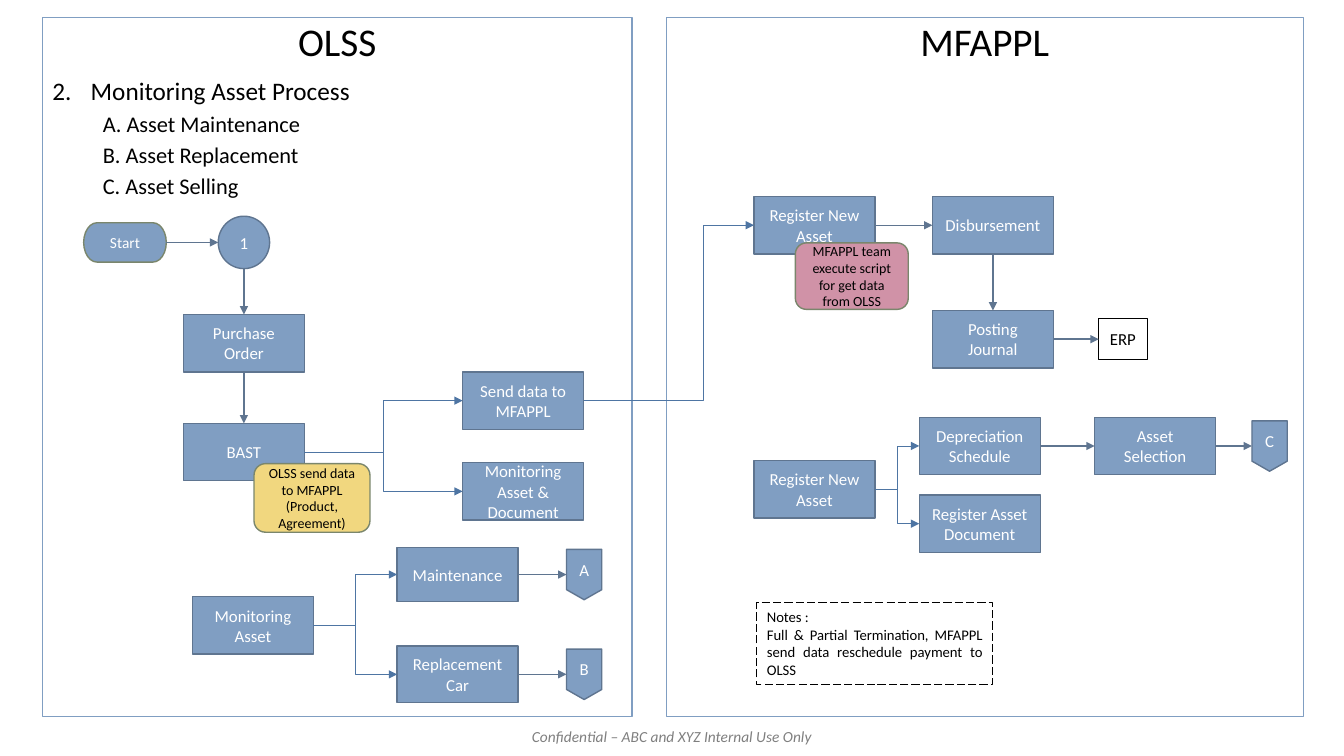
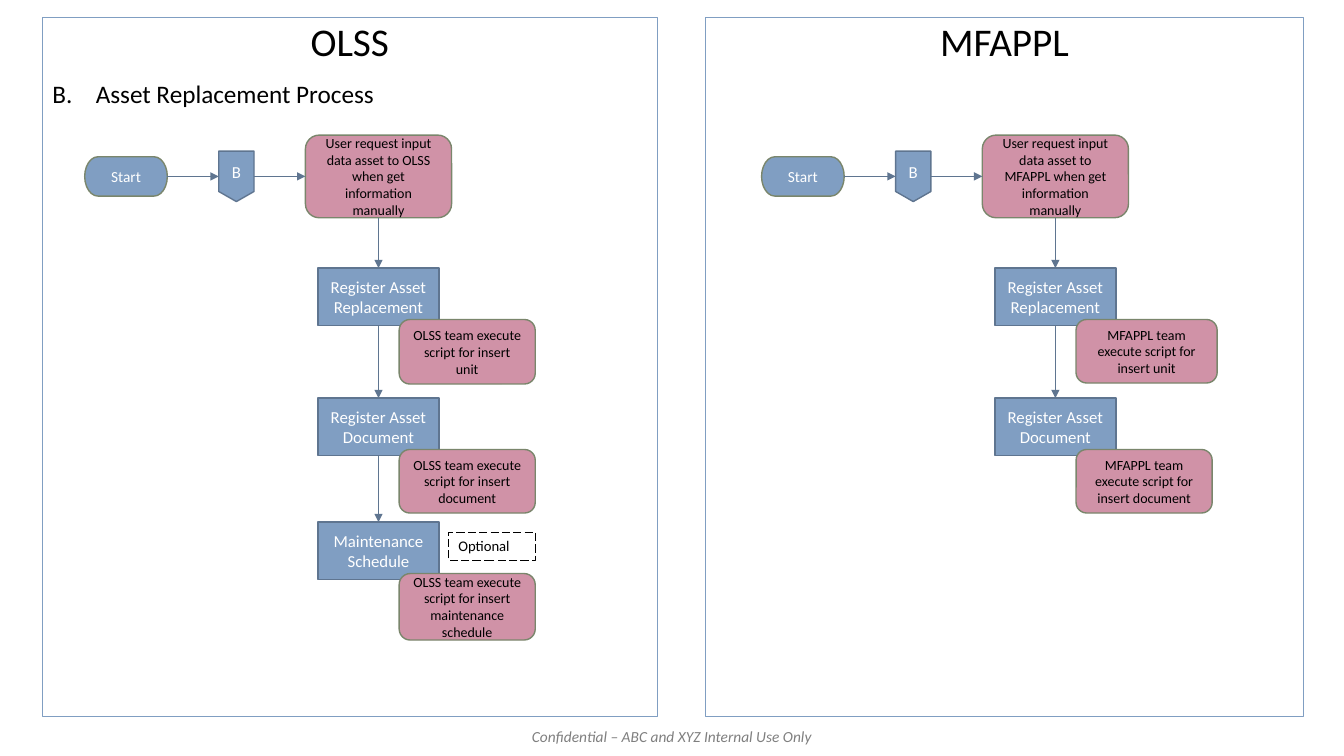
from pptx import Presentation, util as u
from pptx.dml.color import RGBColor
from pptx.enum import dml, shapes, text
from pptx.oxml import ns
from lxml import etree

COLUMNS, ROWS = 133.33, 75
CELL = u.Inches(0.1)
FONT = "Calibri"
COLORS = {
    "blue": "809EC2", "edge": "5F7590", "bend": "4E75A3", "olive": "7A866C",
    "yellow": "F1D77F", "pink": "D092A7", "white": "FFFFFF", "black": "000000",
    "gray": "7F7F7F",
}
KIND = shapes.MSO_SHAPE
STYLES = {
    "step": dict(kind=KIND.RECTANGLE, size=(12, 5.7)),
    "start": dict(kind=KIND.FLOWCHART_TERMINATOR, size=(8.2, 3.9), line="olive", points=11),
    "circle": dict(kind=KIND.FLOWCHART_CONNECTOR, size=(5.1, 5.2)),
    "page": dict(kind=KIND.FLOWCHART_OFFPAGE_CONNECTOR, size=(3.5, 5)),
    "yellow note": dict(kind=KIND.ROUNDED_RECTANGLE, fill="yellow", line="olive",
                        color="black", points=10),
    "pink note": dict(kind=KIND.ROUNDED_RECTANGLE, fill="pink", line="olive",
                      color="black", points=10),
    "system": dict(kind=KIND.RECTANGLE, size=(4.8, 4.1), fill="white", line="black",
                   color="black", weight=0.5),
    "remark": dict(kind=KIND.RECTANGLE, fill=None, line="black", color="black",
                   weight=0.75, points=10.5, dash=dml.MSO_LINE.LONG_DASH,
                   anchor=text.MSO_ANCHOR.TOP, align=text.PP_ALIGN.LEFT),
}
DEFAULTS = dict(fill="blue", line="edge", color="white", weight=1, points=12, dash=None,
                anchor=text.MSO_ANCHOR.MIDDLE, align=text.PP_ALIGN.CENTER)
TOP, LEFT, BOTTOM, RIGHT = range(4)


def rgb(name):
    """Return a named colour."""
    return RGBColor.from_string(COLORS[name])


def cells(*lengths):
    """Turn grid cells into slide lengths."""
    return [round(length * CELL) for length in lengths]


def assign(target, values):
    """Set every attribute named in a dict of format values."""
    for name, value in values.items():
        setattr(target, name, value)


def write(paragraph, words, points, color="black", italic=False, **layout):
    """Fill a paragraph with one formatted run."""
    assign(paragraph, layout)
    run = paragraph.add_run()
    run.text = words
    assign(run.font, dict(name=FONT, size=u.Pt(points), italic=italic))
    run.font.color.rgb = rgb(color)


def set_bullet(paragraph, margin=0, indent=0, number=None):
    """Give a paragraph its indents and its number, or no bullet."""
    properties = paragraph._p.get_or_add_pPr()
    properties.set("marL", str(u.Inches(margin)))
    properties.set("indent", str(u.Inches(indent)))
    if number:
        etree.SubElement(properties, ns.qn("a:buAutoNum"), type=number, startAt="2")
    else:
        etree.SubElement(properties, ns.qn("a:buNone"))


def add_panel(slide, index, box, title, heading=None, items=()):
    """Place a framed body placeholder with its title, heading and list."""
    panel = slide.placeholders[index]
    assign(panel, dict(zip(("left", "top", "width", "height"), cells(*box))))
    panel.line.color.rgb = rgb("blue")
    panel.line.width = u.Pt(0.75)
    frame = panel.text_frame
    assign(frame, dict(auto_size=text.MSO_AUTO_SIZE.NONE, word_wrap=True,
                       vertical_anchor=text.MSO_ANCHOR.TOP))
    lines = [(title, 28, 10, 0, text.PP_ALIGN.CENTER, {})]
    if heading:
        words, space, bullet = heading
        lines.append((words, 18, space, 0, text.PP_ALIGN.LEFT, bullet))
    lines += [(item, 16, 5, 1, text.PP_ALIGN.LEFT, dict(margin=0.5)) for item in items]
    for row, (words, points, space, level, align, bullet) in enumerate(lines):
        paragraph = frame.add_paragraph() if row else frame.paragraphs[0]
        write(paragraph, words, points, alignment=align, level=level,
              line_spacing=0.9, space_before=u.Pt(space))
        set_bullet(paragraph, **bullet)


def add_node(slide, box, style, left, top, words, size=None):
    """Add one flow shape at a grid place inside a box."""
    look = {**DEFAULTS, **STYLES[style]}
    width, height = size or look["size"]
    node = slide.shapes.add_shape(
        look["kind"], *cells(box[0] + left, box[1] + top, width, height))
    node.shadow.inherit = False
    if look["fill"]:
        node.fill.solid()
        node.fill.fore_color.rgb = rgb(look["fill"])
    else:
        node.fill.background()
    node.line.color.rgb = rgb(look["line"])
    assign(node.line, dict(width=u.Pt(look["weight"]), dash_style=look["dash"]))
    frame = node.text_frame
    assign(frame, dict(word_wrap=True, vertical_anchor=look["anchor"]))
    for row, line in enumerate(words.split("\n")):
        paragraph = frame.add_paragraph() if row else frame.paragraphs[0]
        align = text.PP_ALIGN.JUSTIFY if row else look["align"]
        write(paragraph, line, look["points"], look["color"], alignment=align)
    return node


def add_nodes(slide, box, rows):
    """Add the named flow shapes of one box."""
    return {name: add_node(slide, box, *row) for name, *row in rows}


def add_link(slide, source, target, sides=(RIGHT, LEFT), bent=False, bend=None):
    """Join two shapes with a straight or bent arrow."""
    kind = shapes.MSO_CONNECTOR.ELBOW if bent else shapes.MSO_CONNECTOR.STRAIGHT
    link = slide.shapes.add_connector(kind, 0, 0, 0, 0)
    link.begin_connect(source, sides[0])
    link.end_connect(target, sides[1])
    for tag, shape in (("a:stCxn", source), ("a:endCxn", target)):
        if shape.auto_shape_type == KIND.FLOWCHART_CONNECTOR:
            site = next(link._element.iter(ns.qn(tag)))
            site.set("idx", str(2 * int(site.get("idx"))))
    link.line.color.rgb = rgb("bend" if bent else "edge")
    link.line.width = u.Pt(0.5 if bent else 1)
    properties = link._element.spPr
    etree.SubElement(properties.find(ns.qn("a:ln")), ns.qn("a:tailEnd"), type="triangle")
    etree.SubElement(properties, ns.qn("a:effectLst"))
    if bend:
        adjustments = next(properties.iter(ns.qn("a:avLst")))
        etree.SubElement(adjustments, ns.qn("a:gd"), name="adj1", fmla=f"val {bend}")


def add_links(slide, nodes, pairs, **options):
    """Join every named pair of shapes in the same way."""
    for source, target in pairs:
        add_link(slide, nodes[source], nodes[target], **options)


def add_footer(slide):
    """Centre the confidentiality line below the panels."""
    footer = slide.shapes.add_textbox(*cells(0.3 * COLUMNS, 71.6, 0.4 * COLUMNS, 2.9))
    assign(footer.text_frame, dict(word_wrap=True, vertical_anchor=text.MSO_ANCHOR.MIDDLE))
    write(footer.text_frame.paragraphs[0], "Confidential – ABC and XYZ Internal Use Only",
          11, "gray", italic=True, alignment=text.PP_ALIGN.CENTER)


def add_flow_slide(presentation):
    """Start a two-panel slide with the shared footer."""
    slide = presentation.slides.add_slide(presentation.slide_layouts[3])
    title = slide.shapes.title._element
    title.getparent().remove(title)
    add_footer(slide)
    return slide


def monitoring_olss(slide, box):
    """Draw the purchase and monitoring flows."""
    add_panel(slide, 1, box, "OLSS",
              ("Monitoring Asset Process", 10,
               dict(margin=0.38, indent=-0.38, number="arabicPeriod")),
              ("A. Asset Maintenance", "B. Asset Replacement", "C. Asset Selling"))
    nodes = add_nodes(slide, box, [
        ("start", "start", 4.1, 20.4, "Start"),
        ("one", "circle", 17.45, 19.75, "1"),
        ("order", "step", 14, 29.5, "Purchase Order"),
        ("bast", "step", 14, 40.3, "BAST"),
        ("note", "yellow note", 21, 44.3,
         "OLSS send data to MFAPPL (Product, Agreement)", (11.5, 6.8)),
        ("send", "step", 41.7, 35.2, "Send data to MFAPPL"),
        ("document", "step", 41.7, 44.2, "Monitoring Asset & Document"),
        ("monitoring", "step", 14.9, 57.5, "Monitoring Asset"),
        ("maintenance", "step", 35.2, 52.6, "Maintenance", (12, 5.4)),
        ("replacement", "step", 35.2, 62.4, "Replacement Car", (12, 5.6)),
        ("A", "page", 52, 52.8, "A"),
        ("B", "page", 52, 62.7, "B"),
    ])
    add_links(slide, nodes, [("start", "one"), ("maintenance", "A"), ("replacement", "B")])
    add_links(slide, nodes, [("one", "order"), ("order", "bast")], sides=(BOTTOM, TOP))
    add_links(slide, nodes, [("bast", "send"), ("bast", "document"),
                             ("monitoring", "maintenance"),
                             ("monitoring", "replacement")], bent=True)
    return nodes


def monitoring_mfappl(slide, box):
    """Draw the registration, journal and depreciation flows."""
    add_panel(slide, 2, box, "MFAPPL")
    nodes = add_nodes(slide, box, [
        ("register", "step", 8.7, 17.8, "Register New Asset"),
        ("disbursement", "step", 26.4, 17.8, "Disbursement"),
        ("journal", "step", 26.4, 29.1, "Posting Journal"),
        ("ledger", "system", 42.9, 29.9, "ERP"),
        ("note", "pink note", 12.8, 22.4,
         "MFAPPL team execute script for get data from OLSS", (11.2, 6.6)),
        ("asset", "step", 8.7, 44, "Register New Asset"),
        ("depreciation", "step", 25.1, 39.7, "Depreciation Schedule"),
        ("document", "step", 25.1, 47.4, "Register Asset Document"),
        ("selection", "step", 42.5, 39.7, "Asset Selection"),
        ("C", "page", 58.1, 40.05, "C"),
        ("remark", "remark", 9, 58.1,
         "Notes :\nFull & Partial Termination, MFAPPL send data reschedule payment to OLSS",
         (23.4, 8.1)),
    ])
    add_links(slide, nodes, [("register", "disbursement"), ("journal", "ledger"),
                             ("depreciation", "selection"), ("selection", "C")])
    add_links(slide, nodes, [("disbursement", "journal")], sides=(BOTTOM, TOP))
    add_links(slide, nodes, [("asset", "depreciation"), ("asset", "document")], bent=True)
    return nodes


def replacement_flow(slide, box, system, shift, steps):
    """Draw the replacement flow of one system, step by step."""
    nodes = add_nodes(slide, box, [
        ("start", "start", shift + 4.2, 13.85, "Start"),
        ("B", "page", shift + 17.5, 13.3, "B"),
        ("request", "pink note", shift + 26.1, 11.7,
         f"User request input data asset to {system} when get information manually",
         (14.5, 8.2)),
    ])
    add_links(slide, nodes, [("start", "B"), ("B", "request")])
    previous = nodes["request"]
    for top, words, subject, size in steps:
        step = add_node(slide, box, "step", shift + 27.35, top, words)
        add_link(slide, previous, step, sides=(BOTTOM, TOP))
        add_node(slide, box, "pink note", shift + 35.4, top + 5.1,
                 f"{system} team execute script for insert {subject}", size)
        previous = step


def monitoring_slide(presentation):
    """Build the asset monitoring slide."""
    slide = add_flow_slide(presentation)
    olss = monitoring_olss(slide, (4.2, 1.7, 58.5, 69.4))
    mfappl = monitoring_mfappl(slide, (66.1, 1.7, 63.2, 69.4))
    add_link(slide, olss["send"], mfappl["register"], bent=True, bend=70000)


def replacement_slide(presentation):
    """Build the asset replacement slide."""
    slide = add_flow_slide(presentation)
    olss, mfappl = (4.2, 1.7, 61, 69.4), (70, 1.7, 59.3, 69.4)
    add_panel(slide, 1, olss, "OLSS",
              ("Asset Replacement Process", 12,
               dict(margin=0.43, indent=-0.43, number="alphaUcPeriod")))
    add_panel(slide, 2, mfappl, "MFAPPL")
    unit = (24.9, "Register Asset Replacement", "unit")
    document = (37.8, "Register Asset Document", "document")
    schedule = (50.1, "Maintenance Schedule", "maintenance schedule")
    replacement_flow(slide, olss, "OLSS", 0, [
        (*unit, (13.5, 6.4)), (*document, (13.5, 6.3)), (*schedule, (13.5, 6.6))])
    add_node(slide, olss, "remark", 40.3, 51.1, "Optional", (8.6, 2.8))
    replacement_flow(slide, mfappl, "MFAPPL", 1.35, [
        (*unit, (14, 6.3)), (*document, (13.5, 6.3))])


def main():
    """Build and save the presentation."""
    presentation = Presentation()
    assign(presentation, dict(zip(("slide_width", "slide_height"), cells(COLUMNS, ROWS))))
    monitoring_slide(presentation)
    replacement_slide(presentation)
    presentation.save("out.pptx")


main()
